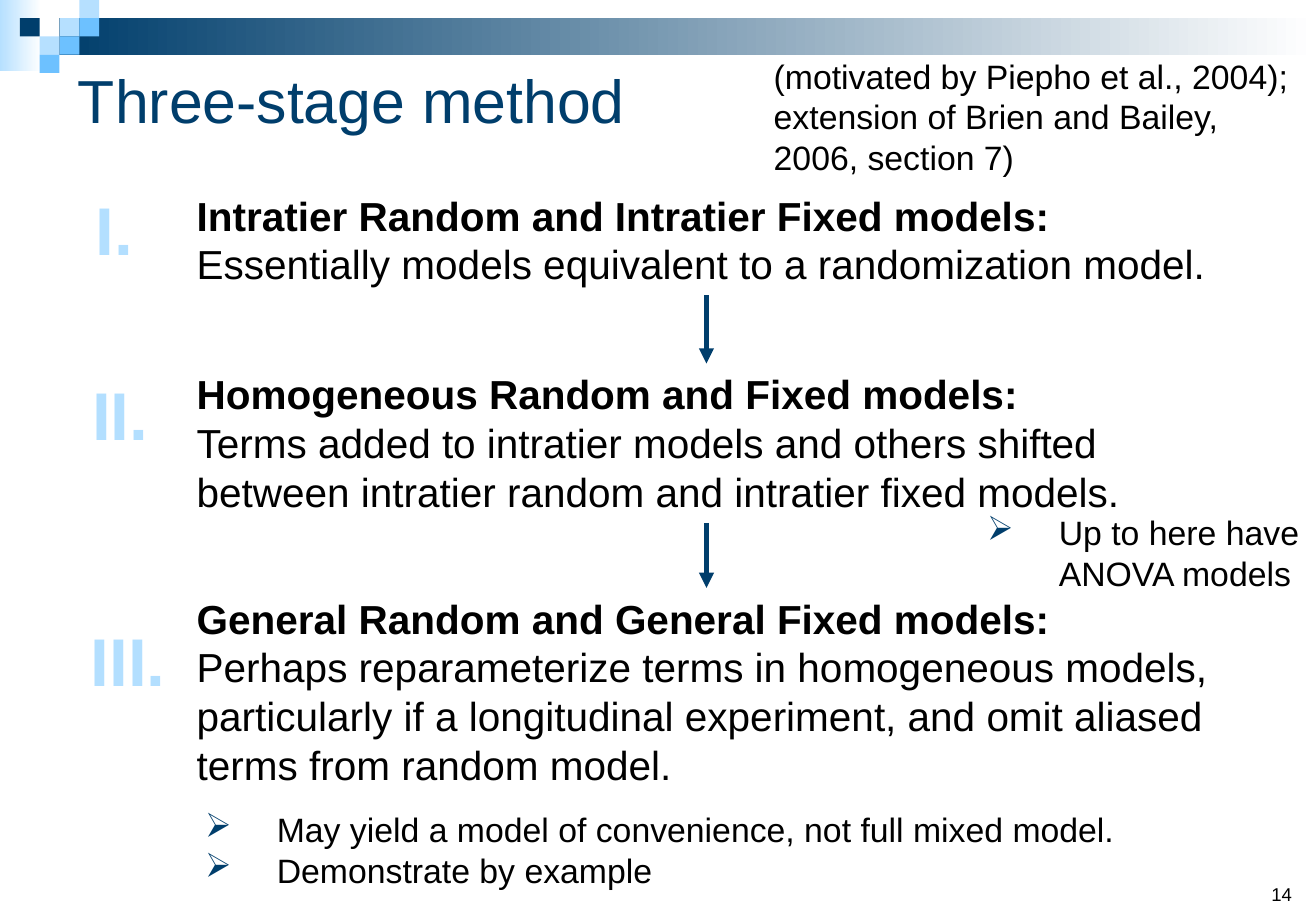
from dataclasses import dataclass

from lxml.etree import SubElement
from pptx import Presentation
from pptx.dml.color import RGBColor
from pptx.enum.shapes import MSO_CONNECTOR as CONN, MSO_SHAPE as SHAPE
from pptx.enum.text import MSO_ANCHOR as ANCHOR, MSO_AUTO_SIZE as AUTO, PP_ALIGN as ALIGN
from pptx.oxml import parse_xml
from pptx.oxml.ns import nsdecls, qn
from pptx.util import Pt

WIDTH, HEIGHT = 780, 540


@dataclass(frozen=True)
class Theme:
    font: str = "Arial"
    navy: str = "003E6C"
    sky: str = "6DC1FF"
    pale: str = "B6E0FF"
    numeral: str = "B3DFFF"
    numeral_edge: str = "005390"
    text: str = "000000"
    white: str = "FFFFFF"
    title_size: int = 36
    numeral_size: int = 40
    body_size: int = 24
    note_size: int = 20
    page_size: int = 11


class Deck:
    def __init__(self, theme):
        self.theme = theme
        self.prs = Presentation()
        self.prs.slide_width, self.prs.slide_height = Pt(WIDTH), Pt(HEIGHT)
        self.slide = self.prs.slides.add_slide(self.prs.slide_layouts[5])

    def style(self, p, size, color=None, bold=False):
        for r in p.runs:
            r.font.name, r.font.size, r.font.bold = self.theme.font, Pt(size), bold
            r.font.color.rgb = RGBColor.from_string(color or self.theme.text)

    def title(self, text, x, y, w, h):
        s = self.slide.shapes.title
        s.left, s.top, s.width, s.height = Pt(x), Pt(y), Pt(w), Pt(h)
        tf = s.text_frame
        tf.text = text
        tf.auto_size, tf.vertical_anchor = AUTO.NONE, ANCHOR.MIDDLE
        tf.paragraphs[0].alignment = ALIGN.LEFT
        self.style(tf.paragraphs[0], self.theme.title_size, self.theme.navy)

    def rect(self, x, y, w, h, color, fade=False):
        """Add a borderless rectangle, optionally fading to white on the right."""
        s = self.slide.shapes.add_shape(SHAPE.RECTANGLE, Pt(x), Pt(y), Pt(w), Pt(h))
        s.shadow.inherit = False
        s.line.fill.background()
        if fade:
            s.fill.gradient()
            s.fill.gradient_angle = 0
            for stop, c in zip(s.fill.gradient_stops, (color, self.theme.white)):
                stop.color.rgb = RGBColor.from_string(c)
        else:
            s.fill.solid()
            s.fill.fore_color.rgb = RGBColor.from_string(color)

    def text(self, text, x, y, w, h, size, color=None, bold=False):
        s = self.slide.shapes.add_textbox(Pt(x), Pt(y), Pt(w), Pt(h))
        tf = s.text_frame
        tf.word_wrap, tf.auto_size = True, AUTO.SHAPE_TO_FIT_TEXT
        tf.text = text
        for p in tf.paragraphs:
            self.style(p, size, color, bold)
        return s

    def bullets(self, text, x, y, w, h):
        s = self.text(text, x, y, w, h, self.theme.note_size)
        for p in s.text_frame.paragraphs:
            pPr = p._p.get_or_add_pPr()
            pPr.set("marL", str(Pt(42.5)))
            pPr.set("indent", str(-Pt(42.5)))
            color = SubElement(pPr, qn("a:buClr"))
            SubElement(color, qn("a:srgbClr")).set("val", self.theme.navy)
            SubElement(pPr, qn("a:buChar")).set("char", "➢")

    def stage(self, heading, body, y, h):
        s = self.text(f"{heading}\v{body}", 109.5, y, 618.5, h, self.theme.body_size)
        s.text_frame.paragraphs[0].runs[0].font.bold = True
        return s

    def numeral(self, text, x, y, w):
        s = self.text(text, x, y, w, 55.5, self.theme.numeral_size, self.theme.numeral, True)
        p = s.text_frame.paragraphs[0]
        p.alignment = ALIGN.CENTER
        edge = parse_xml(f'<a:ln {nsdecls("a")} w="{Pt(1)}"><a:solidFill>'
                         f'<a:srgbClr val="{self.theme.numeral_edge}"/></a:solidFill></a:ln>')
        p.runs[0]._r.get_or_add_rPr().insert(0, edge)

    def arrow(self, upper, lower):
        """Join the bottom of one box to the top of the next."""
        s = self.slide.shapes.add_connector(CONN.STRAIGHT, 0, 0, 0, 0)
        s.begin_connect(upper, 2)
        s.end_connect(lower, 0)
        s.line.width = Pt(3)
        s.line.color.rgb = RGBColor.from_string(self.theme.navy)
        SubElement(s.line._get_or_add_ln(), qn("a:tailEnd")).set("type", "triangle")
        SubElement(s._element.spPr, qn("a:effectLst"))

    def banner(self):
        t, cell_w, cell_h = self.theme, 11.76, 10.8
        self.rect(0, 0, 24.5, 42, t.pale, fade=True)
        self.rect(3 * cell_w, cell_h, WIDTH - 3 * cell_w, 2 * cell_h, t.navy, fade=True)
        tiles = [(3, 1, t.pale), (4, 0, t.pale), (4, 1, t.sky), (2, 2, t.pale),
                 (1, 1, t.navy), (3, 2, t.sky), (2, 3, t.sky)]
        for col, row, color in tiles:
            self.rect(col * cell_w, row * cell_h, cell_w, cell_h, color)


def main():
    theme = Theme()
    deck = Deck(theme)
    deck.banner()
    deck.title("Three-stage method", 39, 32.5, 412, 52.5)
    page = deck.text("14", 746.5, 504, 33.5, 36, theme.page_size)
    page.text_frame.auto_size = AUTO.NONE
    page.text_frame.vertical_anchor = ANCHOR.BOTTOM

    stages = [
        deck.stage("Intratier Random and Intratier Fixed models: ",
                   "Essentially models equivalent to a randomization model.", 109.5, 65.5),
        deck.stage("Homogeneous Random and Fixed models: ",
                   "Terms added to intratier models and others shifted between "
                   "intratier random and intratier fixed models.", 215.5, 94.5),
        deck.stage("General Random and General Fixed models: ",
                   "Perhaps reparameterize terms in homogeneous models, particularly if a "
                   "longitudinal experiment, and omit aliased terms from random model.",
                   348.5, 123.5),
    ]
    for upper, lower in zip(stages, stages[1:]):
        deck.arrow(upper, lower)
    for numeral, x, y, w in [("I.", 45.5, 108, 44.5), ("II.", 41, 217.5, 60.5),
                             ("III.", 36, 363.5, 80)]:
        deck.numeral(numeral, x, y, w)

    deck.bullets("May yield a model of convenience, not full mixed model.\n"
                 "Demonstrate by example", 114.5, 476, 665.5, 55.5)
    deck.text("(motivated by Piepho et al., 2004);\vextension of Brien and Bailey, "
              "2006, section 7)", 451.5, 29.5, 328.5, 80, theme.note_size)
    deck.bullets("Up to here have ANOVA models", 578, 300, 211, 55.5)
    deck.prs.save("out.pptx")


if __name__ == "__main__":
    main()
